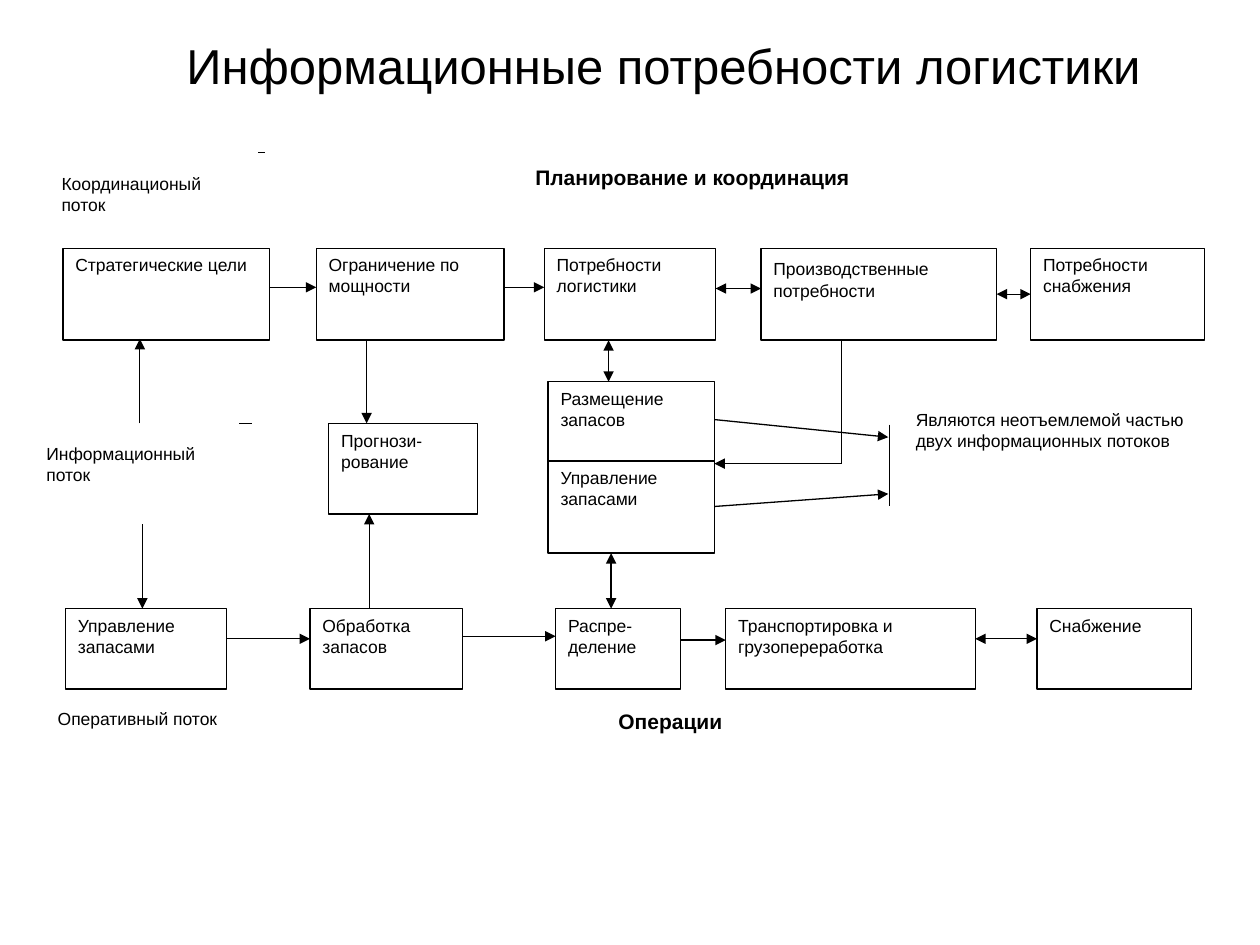
from lxml import etree
from pptx import Presentation
from pptx.dml.color import RGBColor
from pptx.enum.shapes import MSO_CONNECTOR, MSO_SHAPE
from pptx.enum.text import MSO_ANCHOR, PP_ALIGN
from pptx.oxml.ns import qn
from pptx.util import Inches, Pt

RECT = MSO_SHAPE.RECTANGLE
LINE = MSO_CONNECTOR.STRAIGHT
TOP, LEFT = MSO_ANCHOR.TOP, PP_ALIGN.LEFT
COLORS = {"ink": "000000", "paper": "FFFFFF"}
FONT = "Arial"
WIDE, HIGH = 10, 7.5

# Content: rows of boxes as top, height, then key, left, width, text
TITLE = "Информационные потребности логистики"
ROWS = [
    (1.97, 0.73, [
        ("goals", 0.5, 1.64, "Стратегические цели"),
        ("limits", 2.51, 1.49, "Ограничение по мощности"),
        ("needs", 4.32, 1.36, "Потребности логистики"),
        ("making", 6.04, 1.87, "Производственные| |потребности"),
        ("buying", 8.18, 1.38, "Потребности снабжения")]),
    (3.03, 0.64, [("place", 4.35, 1.32, "Размещение запасов")]),
    (3.36, 0.72, [("forecast", 2.61, 1.18, "Прогнози-рование")]),
    (3.66, 0.73, [("stock", 4.35, 1.32, "Управление запасами")]),
    (4.83, 0.64, [
        ("control", 0.52, 1.28, "Управление запасами"),
        ("process", 2.46, 1.21, "Обработка запасов"),
        ("deliver", 4.41, 0.99, "Распре-деление"),
        ("transport", 5.76, 1.98, "Транспортировка и грузопереработка"),
        ("supply", 8.23, 1.23, "Снабжение")]),
]
# Labels: left, top, width, height, size, bold, text
LABELS = [
    (0.39, 1.32, 1.88, 0.59, 10, False, "Координационый\nпоток"),
    (0.27, 3.47, 1.89, 0.59, 10, False, "Информационный\nпоток"),
    (0.36, 5.57, 1.52, 0.59, 10, False, "Оперативный поток"),
    (7.17, 3.2, 2.54, 0.93, 10, False,
     "Являются неотъемлемой частью двух информационных потоков"),
    (4.15, 1.26, 4.02, 0.59, 12, True, "Планирование и координация"),
    (4.81, 5.57, 2.38, 0.59, 12, True, "Операции"),
]
# Links across: left box, right box, height on the slide, two heads
ACROSS = [
    ("goals", "limits", 2.28, False), ("limits", "needs", 2.28, False),
    ("needs", "making", 2.29, True), ("control", "process", 5.07, False),
    ("process", "deliver", 5.05, False),
    ("deliver", "transport", 5.08, False),
    ("transport", "supply", 5.07, True),
]
# Links down or up: start box, end box, place across the slide, two heads
UPRIGHT = [
    ("limits", "forecast", 2.91, False), ("process", "forecast", 2.93, False),
    ("needs", "place", 4.83, True), ("stock", "deliver", 4.85, True),
]
# Free lines: start, end, arrow at the end
FREE = [
    ((1.13, 4.16), (1.13, 4.83), True), ((1.11, 3.36), (1.11, 2.69), True),
    ((6.68, 2.7), (6.68, 3.68), False), ((6.68, 3.68), (5.67, 3.68), True),
    ((5.67, 3.33), (7.05, 3.47), True), ((5.67, 4.02), (7.05, 3.92), True),
    ((7.06, 3.37), (7.06, 4.02), False), ((1.9, 3.36), (2, 3.36), False),
    ((2.05, 1.21), (2.1, 1.21), False),
]


def color(name):
    return RGBColor.from_string(COLORS[name])


def style(run, size, bold=False):
    run.font.name, run.font.size, run.font.bold = FONT, Pt(size), bold
    run.font.color.rgb = color("ink")


def panel(area, text, size=10, bold=False, edge=True):
    shape = slide.shapes.add_shape(RECT, *map(Inches, area))
    shape.shadow.inherit = False
    shape.fill.solid()
    shape.fill.fore_color.rgb = color("paper")
    if edge:
        shape.line.color.rgb = color("ink")
        shape.line.width = Pt(0.75)
    else:
        shape.line.fill.background()
    frame = shape.text_frame
    frame.word_wrap, frame.vertical_anchor = True, TOP
    for i, part in enumerate(text.split("\n")):
        para = frame.paragraphs[0] if i == 0 else frame.add_paragraph()
        para.alignment = LEFT
        for piece in part.split("|"):
            run = para.add_run()
            run.text = piece
            style(run, 12 if piece == " " else size, bold)
    return shape


def link(start, end, heads=()):
    line = slide.shapes.add_connector(LINE, *map(Inches, start + end))
    line.line.color.rgb = color("ink")
    line.line.width = Pt(0.75)
    props = line._element.spPr
    for head in heads:
        etree.SubElement(props.find(qn("a:ln")), qn("a:" + head),
                         type="triangle")
    etree.SubElement(props, qn("a:effectLst"))
    return line


def ends(both):
    return ("headEnd", "tailEnd") if both else ("tailEnd",)


deck = Presentation()
deck.slide_width, deck.slide_height = Inches(WIDE), Inches(HIGH)
slide = deck.slides.add_slide(deck.slide_layouts[5])

# Title
title = slide.shapes.title
title.left, title.top, title.width, title.height = map(
    Inches, (1.38, 0.23, 7.95, 0.57))
title.text_frame.text = TITLE
title.text_frame.vertical_anchor = TOP
title.text_frame.paragraphs[0].alignment = LEFT
style(title.text_frame.paragraphs[0].runs[0], 28)

# Boxes
areas, boxes = {}, {}
for top, height, row in ROWS:
    for key, left, width, text in row:
        areas[key] = (left, top, width, height)
        boxes[key] = panel(areas[key], text)

# Labels
for *area, size, bold, text in LABELS:
    panel(area, text, size, bold, edge=False)

# Links between boxes
for a, b, y, both in ACROSS:
    link((areas[a][0] + areas[a][2], y), (areas[b][0], y), ends(both))
for a, b, x, both in UPRIGHT:
    (_, atop, _, atall), (_, btop, _, btall) = areas[a], areas[b]
    down = atop < btop
    link((x, atop + atall * down), (x, btop + btall * (not down)), ends(both))
pair = link((7.91, 2.33), (8.18, 2.33), ends(True))
pair.begin_connect(boxes["making"], 3)
pair.end_connect(boxes["buying"], 1)

# Free lines
for start, end, arrow in FREE:
    link(start, end, ends(False) if arrow else ())

deck.save("out.pptx")
